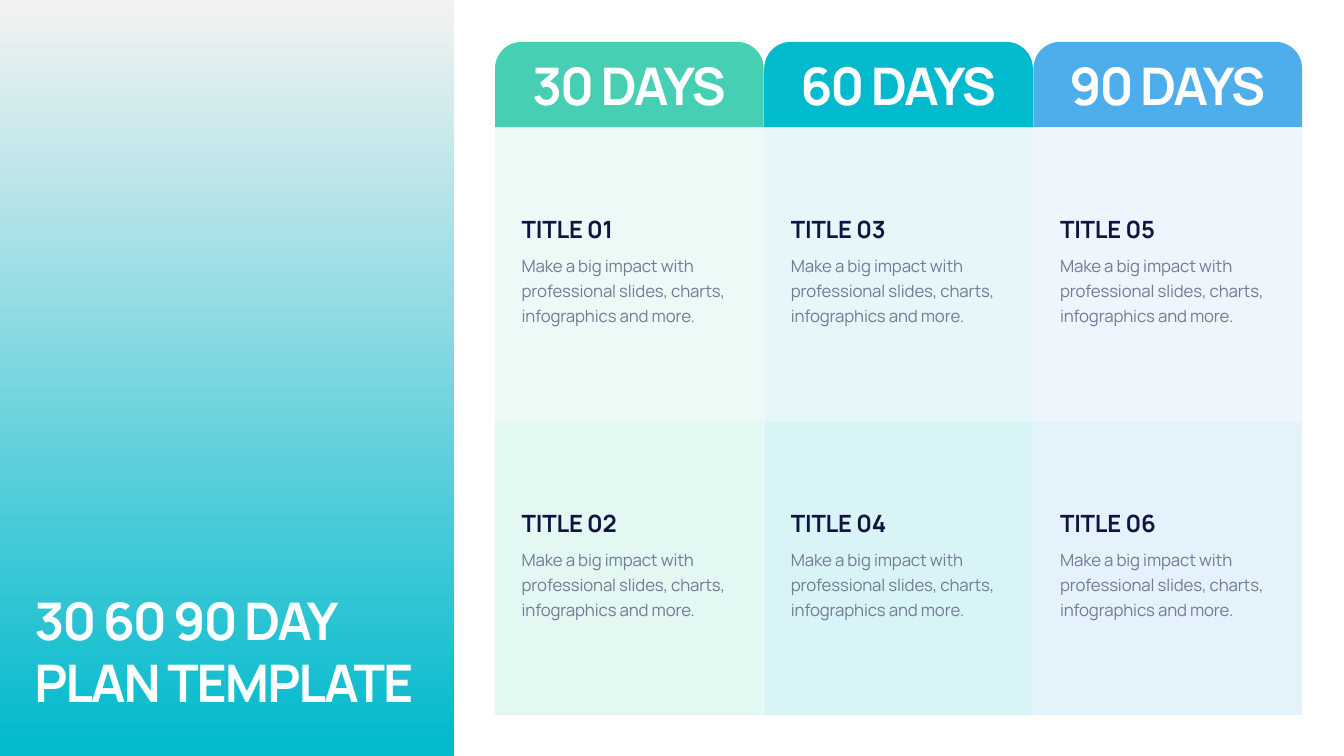
"""Build a 30 60 90 day plan slide with three columns and two rows of goals."""
from dataclasses import dataclass

from pptx import Presentation
from pptx.dml.color import RGBColor as Color
from pptx.enum.shapes import MSO_SHAPE as Shape
from pptx.enum.text import MSO_ANCHOR as Anchor, MSO_AUTO_SIZE as AutoSize, PP_ALIGN as Align
from pptx.oxml.ns import qn
from pptx.util import Inches, Pt
from lxml.etree import SubElement


@dataclass(frozen=True)
class TextStyle:
    """Look of one kind of text, with letter spacing in points."""
    size: float
    color: str
    bold: bool
    tracking: float
    anchor: Anchor
    align: Align = Align.LEFT
    line_height: float = 0


@dataclass(frozen=True)
class Theme:
    """Colours, font and text styles of the slide."""
    font: str = "Manrope"
    mist: str = "F2F2F2"
    teal: str = "01BACD"
    columns: tuple = ("46CFB2", "01BACD", "4EADEB")
    row_opacity: tuple = (10, 15)
    title: TextStyle = TextStyle(74, "FFFFFF", True, -2.9, Anchor.BOTTOM)
    header: TextStyle = TextStyle(74, "FFFFFF", True, -2.9, Anchor.MIDDLE, Align.CENTER)
    goal: TextStyle = TextStyle(34, "111340", True, -0.3, Anchor.BOTTOM)
    detail: TextStyle = TextStyle(24, "747994", False, -0.2, Anchor.TOP, line_height=36)


THEME = Theme()
HEADERS = ("30 DAYS", "60 DAYS", "90 DAYS")
DETAIL = "Make a big impact with professional slides, charts, infographics and more."
GRID_LEFT, COLUMN_PITCH, COLUMN_WIDTH = 9.82, 5.34, 5.33
HEADER_TOP, HEADER_HEIGHT, CORNER = 0.83, 1.69, 0.53
ROW_TOP, ROW_HEIGHT = 2.53, 5.83
TEXT_INDENT, TEXT_WIDTH = 0.43, 4.49


def write(box, text, style):
    """Put styled text into a box."""
    frame = box.text_frame
    frame.text = text
    frame.word_wrap = True
    frame.auto_size = AutoSize.SHAPE_TO_FIT_TEXT
    frame.vertical_anchor = style.anchor
    para = frame.paragraphs[0]
    para.alignment = style.align
    if style.line_height:
        para.line_spacing = Pt(style.line_height)
    span = para.runs[0]
    span.font.name = THEME.font
    span.font.size = Pt(style.size)
    span.font.bold = style.bold
    span.font.color.rgb = Color.from_string(style.color)
    span._r.get_or_add_rPr().set("spc", str(round(style.tracking * 100)))


def add_text(page, text, style, left, top, width, height):
    """Add a text box in the given style."""
    box = page.shapes.add_textbox(Inches(left), Inches(top), Inches(width), Inches(height))
    write(box, text, style)


def add_block(page, left, top, width, height, color, opacity=100, kind=Shape.RECTANGLE):
    """Add a borderless filled shape."""
    block = page.shapes.add_shape(kind, Inches(left), Inches(top), Inches(width), Inches(height))
    block.shadow.inherit = False
    block.line.fill.background()
    block.fill.solid()
    block.fill.fore_color.rgb = Color.from_string(color)
    if opacity < 100:
        tint = block.element.spPr.find(".//" + qn("a:srgbClr"))
        SubElement(tint, qn("a:alpha")).set("val", str(opacity * 1000))
    return block


def add_title_panel(page):
    """Add the gradient panel and lay the slide title over it."""
    fill = add_block(page, 0, 0, 9.01, 15, THEME.teal).fill
    fill.gradient()
    fill.gradient_angle = 270
    for stop, color, position in zip(fill.gradient_stops, (THEME.mist, THEME.teal), (0.01, 0.99)):
        stop.color.rgb = Color.from_string(color)
        stop.position = position
    title = page.shapes.title
    title.left, title.top = Inches(0.58), Inches(11.61)
    title.width, title.height = Inches(7.75), Inches(2.59)
    write(title, "30 60 90 DAY PLAN TEMPLATE", THEME.title)
    title.element.getparent().append(title.element)


def add_header(page, left, text, color):
    """Add a column header with rounded top corners."""
    tab = add_block(page, left, HEADER_TOP, COLUMN_WIDTH, HEADER_HEIGHT, color,
                    kind=Shape.ROUND_2_SAME_RECTANGLE)
    tab.adjustments[0] = CORNER / HEADER_HEIGHT
    add_text(page, text, THEME.header, left + TEXT_INDENT, 1.01, 4.45, 1.35)


def add_goal(page, left, top, number, color, opacity):
    """Add a tinted cell with a goal and its detail."""
    add_block(page, left, top, COLUMN_WIDTH, ROW_HEIGHT, color, opacity)
    text_left = left + TEXT_INDENT
    add_text(page, f"TITLE {number:02}", THEME.goal, text_left, top + 1.68, TEXT_WIDTH, 0.67)
    add_text(page, DETAIL, THEME.detail, text_left, top + 2.39, TEXT_WIDTH, 1.59)


def main():
    """Build and save the slide."""
    deck = Presentation()
    deck.slide_width, deck.slide_height = Inches(26.66), Inches(15)
    page = deck.slides.add_slide(deck.slide_layouts.get_by_name("Title Only"))
    add_title_panel(page)
    rows = len(THEME.row_opacity)
    for column, (header, color) in enumerate(zip(HEADERS, THEME.columns)):
        left = GRID_LEFT + column * COLUMN_PITCH
        add_header(page, left, header, color)
        for row, opacity in enumerate(THEME.row_opacity):
            number = column * rows + row + 1
            add_goal(page, left, ROW_TOP + row * ROW_HEIGHT, number, color, opacity)
    deck.save("out.pptx")


if __name__ == "__main__":
    main()
